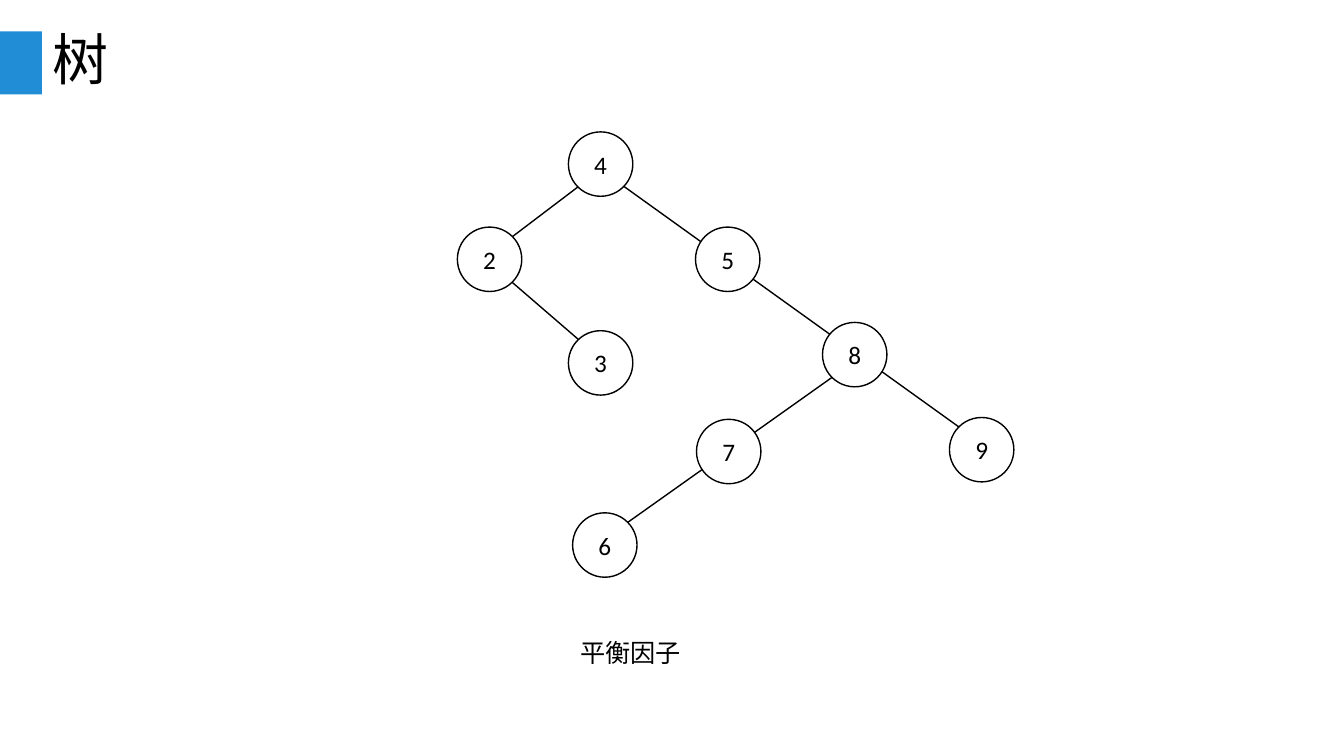
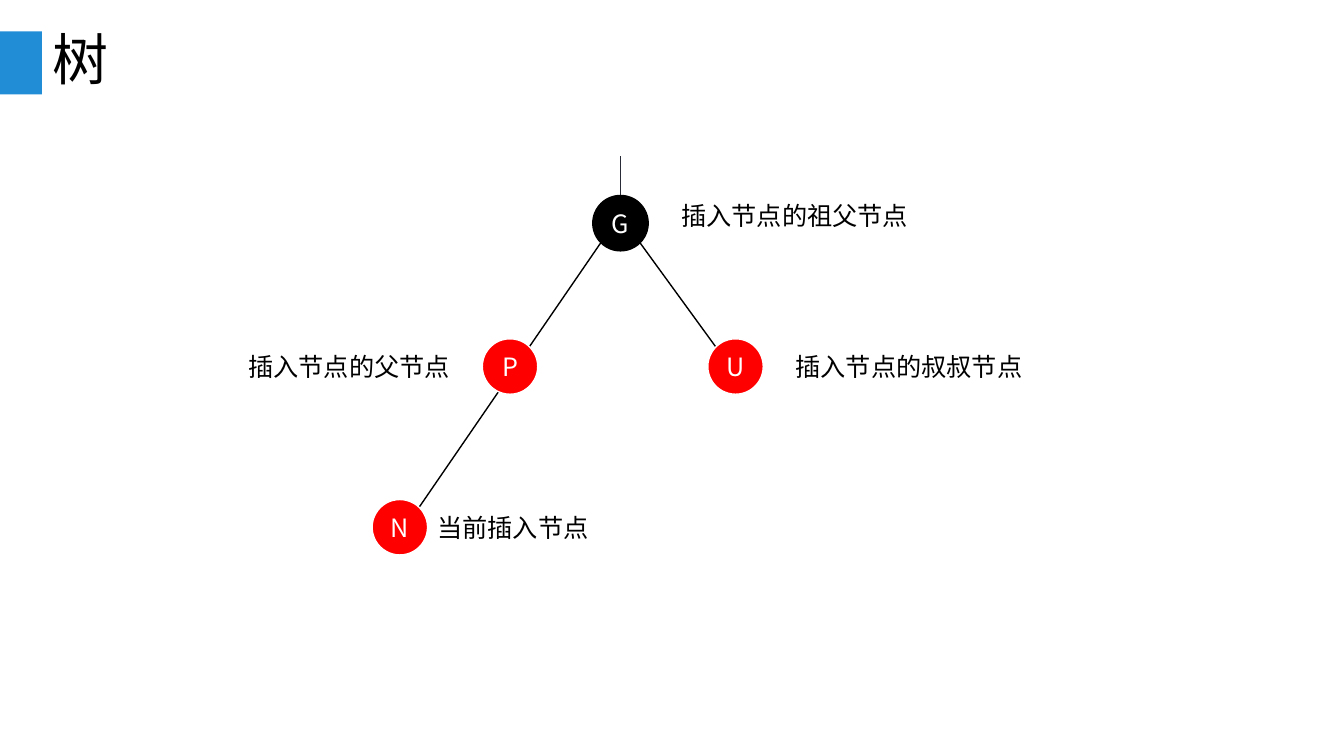
from lxml import etree
from pptx import Presentation
from pptx.dml import color
from pptx.enum import shapes, text
from pptx.oxml import ns
from pptx.util import Pt

CJK, LATIN = "Noto Sans CJK SC", "Calibri"
BLACK, WHITE, RED, BLUE, SLATE = "000000", "FFFFFF", "FF0000", "218DD6", "292B37"
BODY_SIZE = 18


def rgb(value):
    return color.RGBColor.from_string(value)


def write(shape, words, size, font, ink, align=text.PP_ALIGN.LEFT):
    """Put one run of text in a shape and return its paragraph."""
    paragraph = shape.text_frame.paragraphs[0]
    paragraph.alignment = align
    run = paragraph.add_run()
    run.text = words
    run.font.size, run.font.name = Pt(size), font
    run.font.color.rgb = rgb(ink)
    east_asian = etree.SubElement(run.font._element, ns.qn("a:ea"))
    east_asian.set("typeface", font)
    return paragraph


# Content: edges (x1, y1, x2, y2, colour), nodes (name, left, top, fill, line),
# labels (words, left, top)
balanced_tree = {
    "edges": [
        (594.7, 269.3, 448.6, 373, BLACK),
        (445.7, 133.2, 685.4, 305.3, BLACK),
        (413.3, 133.2, 365.8, 169.2, BLACK),
        (365.8, 201.6, 413.3, 242.6, BLACK),
    ],
    "diameter": 46, "node_font": LATIN, "node_ink": BLACK,
    "nodes": [(name, left, top, WHITE, BLACK) for name, left, top in [
        ("4", 406, 94.2), ("2", 326.7, 162.2), ("5", 496.8, 162.2), ("3", 406, 236.2),
        ("8", 587.5, 230.3), ("9", 678.2, 298.2), ("7", 497.5, 299.5), ("6", 409, 366.3)]],
    "labels": [("平衡因子", 407.5, 451.4)],
}
red_black_tree = {
    "edges": [
        (429.1, 173.5, 299.5, 362.2, BLACK),
        (443.2, 139.7, 443.2, 111.6, SLATE),
        (457.2, 173.5, 511.2, 247.7, BLACK),
    ],
    "diameter": 39.6, "node_font": CJK, "node_ink": WHITE,
    "nodes": [
        ("G", 423.4, 139.6, BLACK, BLACK),
        ("P", 344.5, 242, RED, WHITE),
        ("U", 505.6, 242, RED, WHITE),
        ("N", 265.8, 356.8, RED, WHITE),
    ],
    "labels": [
        ("当前插入节点", 305.3, 362.2),
        ("插入节点的父节点", 170.3, 247.7),
        ("插入节点的叔叔节点", 561.2, 247.7),
        ("插入节点的祖父节点", 479.6, 139.7),
    ],
}

deck = Presentation()
deck.slide_width, deck.slide_height = Pt(960), Pt(540)

for tree in (balanced_tree, red_black_tree):
    slide = deck.slides.add_slide(deck.slide_layouts[6])

    # Blue tab and title
    tab = slide.shapes.add_shape(
        shapes.MSO_SHAPE.RECTANGLE, Pt(0), Pt(22.5), Pt(30), Pt(45))
    tab.shadow.inherit = False
    tab.fill.solid()
    tab.fill.fore_color.rgb = rgb(BLUE)
    tab.line.fill.background()
    title = slide.shapes.add_textbox(Pt(30.5), Pt(21.6), Pt(900), Pt(46))
    title.text_frame.word_wrap = True
    title.text_frame.vertical_anchor = text.MSO_ANCHOR.MIDDLE
    write(title, "树", 40, CJK, BLACK).line_spacing = 0.9

    # Edges, behind the nodes
    for x1, y1, x2, y2, ink in tree["edges"]:
        edge = slide.shapes.add_connector(
            shapes.MSO_CONNECTOR.STRAIGHT, Pt(x1), Pt(y1), Pt(x2), Pt(y2))
        edge.line.color.rgb = rgb(ink)
        edge.line.width = Pt(1)
        etree.SubElement(edge._element.spPr, ns.qn("a:effectLst"))

    # Nodes
    diameter = Pt(tree["diameter"])
    for name, left, top, fill, outline in tree["nodes"]:
        node = slide.shapes.add_shape(
            shapes.MSO_SHAPE.OVAL, Pt(left), Pt(top), diameter, diameter)
        node.shadow.inherit = False
        node.fill.solid()
        node.fill.fore_color.rgb = rgb(fill)
        node.line.color.rgb = rgb(outline)
        node.line.width = Pt(1)
        node.text_frame.vertical_anchor = text.MSO_ANCHOR.MIDDLE
        write(node, name, BODY_SIZE, tree["node_font"], tree["node_ink"],
              text.PP_ALIGN.CENTER)

    # Labels, as wide as their characters plus the insets
    for words, left, top in tree["labels"]:
        label = slide.shapes.add_textbox(
            Pt(left), Pt(top), Pt(BODY_SIZE * len(words) + 16), Pt(29))
        label.text_frame.word_wrap = False
        label.text_frame.auto_size = text.MSO_AUTO_SIZE.SHAPE_TO_FIT_TEXT
        write(label, words, BODY_SIZE, CJK, BLACK)

deck.save("out.pptx")
